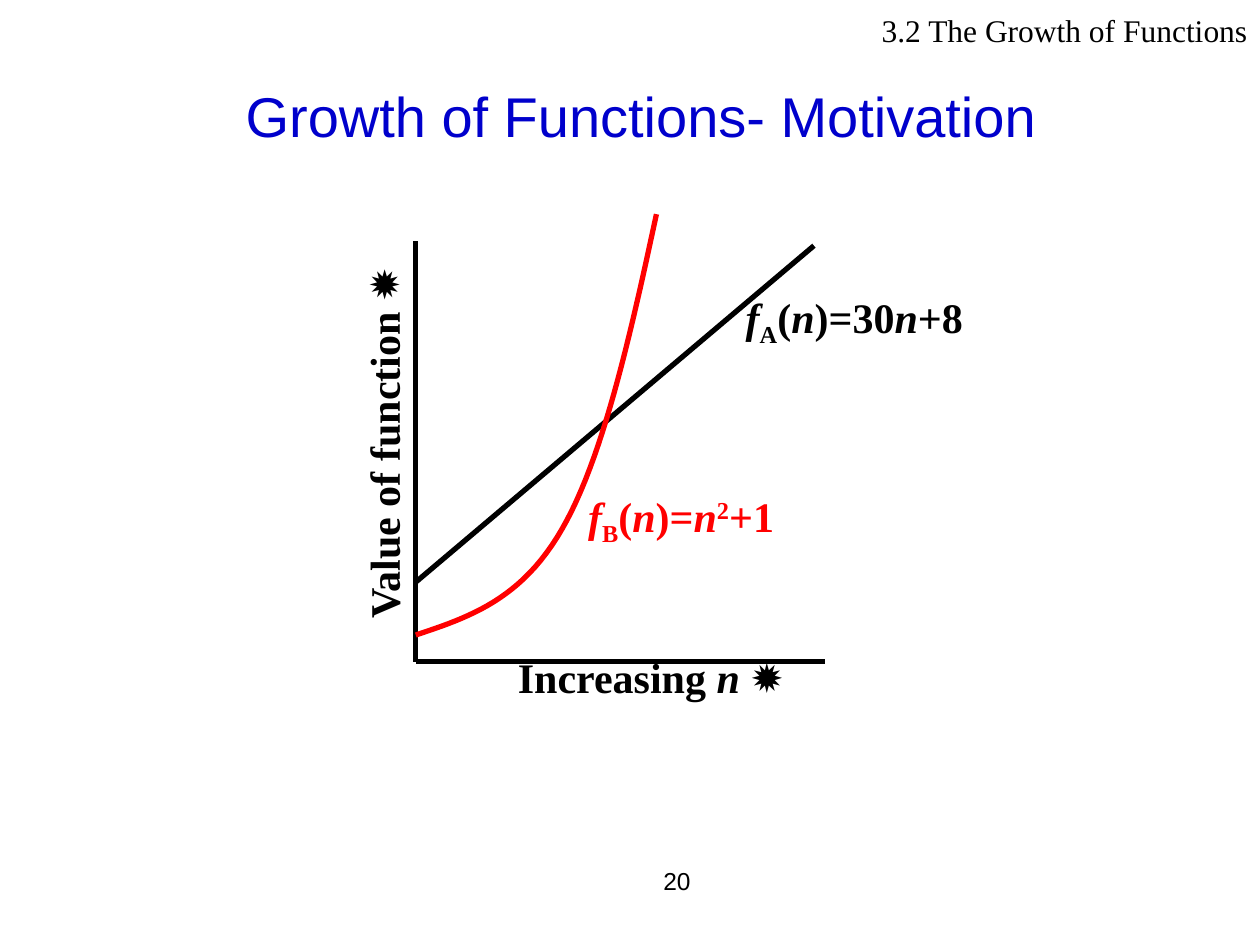
"""Build the slide that compares the growth of a linear and a quadratic function."""
from lxml.etree import SubElement
from pptx import Presentation
from pptx.dml.color import RGBColor
from pptx.enum.shapes import MSO_CONNECTOR
from pptx.enum.text import MSO_ANCHOR as Anchor, MSO_AUTO_SIZE as AutoSize, PP_ALIGN as Align
from pptx.oxml.ns import qn
from pptx.util import Inches, Pt

COLORS = {"black": "000000", "blue": "0000CC", "red": "FF0000"}
SERIF, SANS = "Times New Roman", "Arial"
LINE_WIDTH = Pt(3)


def add_text(box, runs, size, font, color="black", align=Align.CENTER,
             anchor=Anchor.MIDDLE, bold=False, wrap=False, grow=True):
    shape = slide.shapes.add_textbox(*(Inches(value) for value in box))
    frame = shape.text_frame
    frame.word_wrap = wrap
    frame.auto_size = AutoSize.SHAPE_TO_FIT_TEXT if grow else AutoSize.NONE
    frame.vertical_anchor = anchor
    paragraph = frame.paragraphs[0]
    paragraph.alignment = align
    for text, italic, baseline in runs:
        run = paragraph.add_run()
        run.text = text
        run.font.name = font
        run.font.size = Pt(size)
        run.font.bold = bold
        run.font.italic = italic
        run.font.color.rgb = RGBColor.from_string(COLORS[color])
        if baseline:
            run._r.get_or_add_rPr().set("baseline", str(baseline * 1000))
    return shape


presentation = Presentation()
presentation.slide_width = Inches(10)
presentation.slide_height = Inches(7.5)
slide = presentation.slides.add_slide(presentation.slide_layouts[6])

add_text((3.5, 6.74, 2.08, 0.5), [("20", False, 0)], 14, SANS, align=Align.RIGHT, grow=False)
add_text((0.59, 0.6, 9, 1.25), [("Growth of Functions- Motivation", False, 0)], 32, SANS,
         "blue", anchor=Anchor.TOP, wrap=True, grow=False)

origin = (3.3, 5.25)
straight_lines = [
    (origin, (3.3, 1.91)),
    (origin, (6.55, 5.25)),
    ((3.3, 4.62), (6.46, 1.95)),
]
for start, end in straight_lines:
    connector = slide.shapes.add_connector(
        MSO_CONNECTOR.STRAIGHT, *(Inches(value) for value in start + end))
    connector.line.color.rgb = RGBColor.from_string(COLORS["black"])
    connector.line.width = LINE_WIDTH
    SubElement(connector._element.spPr, qn("a:effectLst"))

curve_segments = [
    ((3.3, 5.04), (3.72, 4.9), (4.14, 4.76), (4.46, 4.2)),
    ((4.46, 4.2), (4.78, 3.65), (5, 2.68), (5.21, 1.7)),
]
steps = 24
curve_points = []
for segment in curve_segments:
    for step in range(1, steps + 1):
        t = step / steps
        weights = ((1 - t) ** 3, 3 * t * (1 - t) ** 2, 3 * t ** 2 * (1 - t), t ** 3)
        curve_points.append(tuple(
            Inches(sum(weight * point[axis] for weight, point in zip(weights, segment)))
            for axis in (0, 1)))
curve_start = curve_segments[0][0]
builder = slide.shapes.build_freeform(Inches(curve_start[0]), Inches(curve_start[1]))
builder.add_line_segments(curve_points, close=False)
curve = builder.convert_to_shape()
curve.shadow.inherit = False
curve.fill.background()
curve.line.color.rgb = RGBColor.from_string(COLORS["red"])
curve.line.width = LINE_WIDTH

linear_label = [("f", True, 0), ("A", False, -25), ("(", False, 0), ("n", True, 0),
                (")=30", False, 0), ("n", True, 0), ("+8", False, 0)]
quadratic_label = [("f", True, 0), ("B", False, -25), ("(", False, 0), ("n", True, 0),
                   (")=", False, 0), ("n", True, 0), ("2", False, 30), ("+1", False, 0)]
horizontal_label = [("Increasing ", False, 0), ("n ", True, 0), ("✹", False, 0)]
vertical_label = [("Value of function ✹", False, 0)]

add_text((5.82, 2.26, 1.92, 0.56), linear_label, 24, SERIF, bold=True)
add_text((4.01, 5.12, 2.31, 0.5), horizontal_label, 24, SERIF, bold=True)
add_text((4.55, 3.84, 1.71, 0.56), quadratic_label, 24, SERIF, "red", bold=True)
add_text((1.54, 3.27, 3, 0.5), vertical_label, 24, SERIF, bold=True).rotation = 270

add_text((6, 0.04, 4, 0.4), [("3.2 The Growth of Functions", False, 0)], 18, SERIF,
         align=Align.RIGHT, anchor=Anchor.TOP, wrap=True)

presentation.save("out.pptx")
